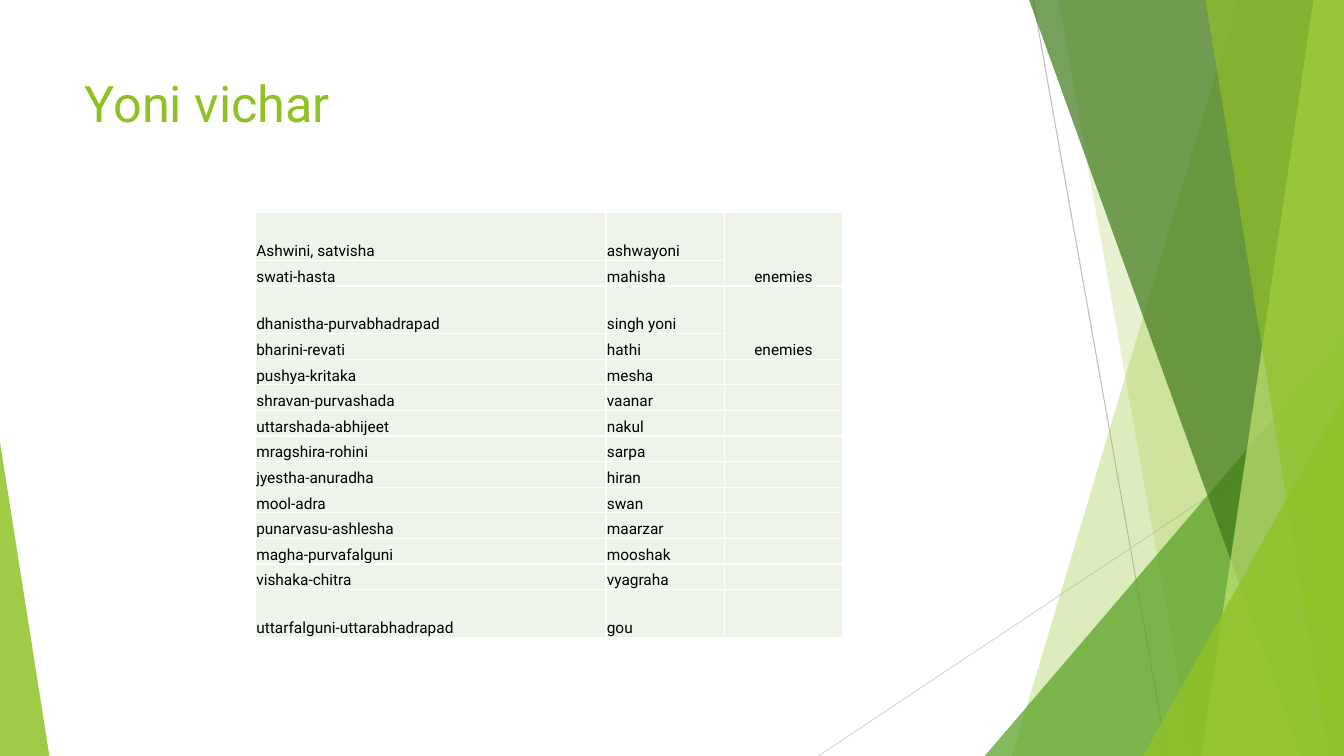
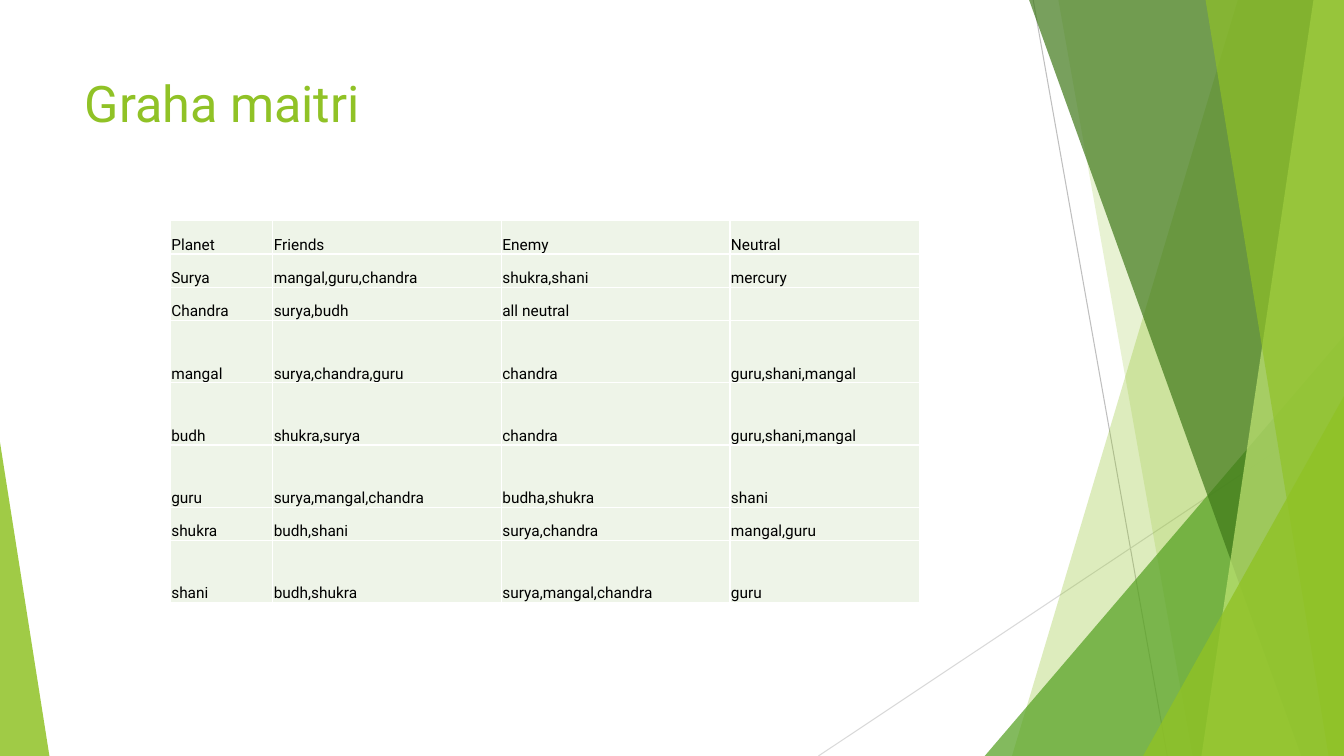
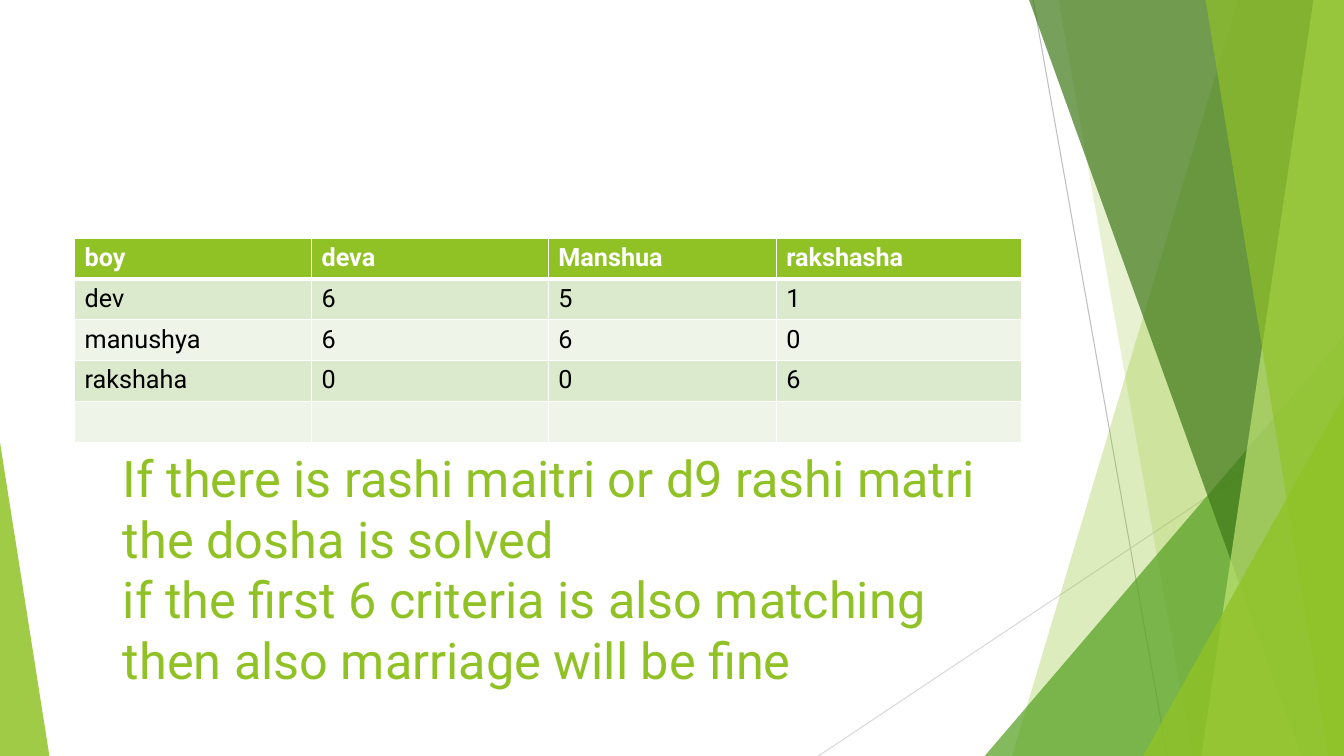
from lxml.etree import SubElement
from pptx import Presentation
from pptx.dml.color import RGBColor
from pptx.enum.shapes import MSO_CONNECTOR, MSO_SHAPE, PP_PLACEHOLDER
from pptx.enum.text import MSO_ANCHOR, MSO_AUTO_SIZE, PP_ALIGN
from pptx.oxml.ns import qn
from pptx.util import Pt

# Shared look
WIDTH, HEIGHT = 960, 540
FONT = "Roboto"
LIME, GREEN, FOREST, PALE_LIME = "90C226", "54A021", "3F7819", "C0E474"
BLACK, WHITE = "000000", "FFFFFF"
BAND_DARK, BAND_LIGHT = "DBE9CD", "EEF4E8"
TITLE_BOX = (53.3, 48.2, 676.8, 103.7)
TIGHT = (0.7, 0.7, 0.7, 0)
ROOMY = (7.2, 3.6, 7.2, 3.6)


def rgb(value):
    return RGBColor.from_string(value)


def place(shape, box):
    shape.left, shape.top, shape.width, shape.height = (Pt(v) for v in box)


def write(frame, text, size=11, color=BLACK, bold=False, align=PP_ALIGN.LEFT):
    """Fill the first paragraph; each newline becomes a line break."""
    paragraph = frame.paragraphs[0]
    paragraph.alignment = align
    if not text:
        SubElement(paragraph._p, qn("a:endParaRPr"), sz=str(size * 100))
        return
    for number, line in enumerate(text.split("\n")):
        if number:
            paragraph.add_line_break()
        run = paragraph.add_run()
        run.text = line
        run.font.name, run.font.size, run.font.bold = FONT, Pt(size), bold
        run.font.color.rgb = rgb(color)


# Background decoration
def paint(shape, color, opacity):
    shape.shadow.inherit = False
    shape.line.fill.background()
    shape.fill.solid()
    shape.fill.fore_color.rgb = rgb(color)
    tint = shape.element.spPr.find(".//" + qn("a:srgbClr"))
    SubElement(tint, qn("a:alpha"), val=str(opacity * 1000))


def add_hairline(slide, start, end, color):
    line = slide.shapes.add_connector(
        MSO_CONNECTOR.STRAIGHT, *(Pt(v) for v in start + end))
    line.line.color.rgb = rgb(color)
    line.line.width = Pt(0.75)
    SubElement(line.element.spPr, qn("a:effectLst"))


def add_blade(slide, top_x, bottom_x, color, opacity):
    """Band from a slanted left edge to the right side of the slide."""
    outline = slide.shapes.build_freeform(Pt(top_x), 0)
    outline.add_line_segments(
        [(Pt(x), Pt(y)) for x, y in
         ((WIDTH, 0), (WIDTH, HEIGHT), (bottom_x, HEIGHT))], close=True)
    paint(outline.convert_to_shape(), color, opacity)


def add_corner(slide, left, top, width, apex, color, opacity):
    """Triangle standing on the bottom edge of the slide."""
    corner = slide.shapes.add_shape(
        MSO_SHAPE.ISOSCELES_TRIANGLE,
        *(Pt(v) for v in (left, top, width, HEIGHT - top)))
    corner.adjustments[0] = apex
    paint(corner, color, opacity)


def draw_decoration(slide):
    add_hairline(slide, (738, 0), (833.8, HEIGHT), "BFBFBF")
    add_hairline(slide, (WIDTH, 290), (584.6, HEIGHT), "D9D9D9")
    add_blade(slide, 884.2, 722.9, LIME, 30)
    add_blade(slide, 756, 851.8, LIME, 20)
    add_corner(slide, 703.4, 240, 256.6, 1, GREEN, 72)
    add_blade(slide, 735.1, 929.5, FOREST, 70)
    add_blade(slide, 938.2, 858.2, PALE_LIME, 70)
    add_blade(slide, 861.1, 949, LIME, 65)
    add_corner(slide, 816.5, 283, 143.5, 1, LIME, 80)
    add_corner(slide, 0, 316, 35.3, 0, LIME, 85)


def prepare_layout(layout, slide):
    """Keep only the title in the layout and put the decoration behind it."""
    for holder in list(layout.placeholders):
        if holder.placeholder_format.type == PP_PLACEHOLDER.TITLE:
            place(holder, TITLE_BOX)
        else:
            holder.element.getparent().remove(holder.element)
    draw_decoration(slide)
    parts = [s.element for s in slide.shapes if not s.is_placeholder]
    for position, part in enumerate(parts, start=2):
        layout.shapes.element.insert(position, part)


# Slide content
def set_title(slide, text, box=TITLE_BOX):
    title = slide.shapes.title
    place(title, box)
    frame = title.text_frame
    frame.word_wrap = True
    frame.auto_size = MSO_AUTO_SIZE.NONE
    frame.vertical_anchor = MSO_ANCHOR.TOP
    write(frame, text, size=36, color=LIME)


def set_borders(cell, top=1, bottom=1):
    properties = cell._tc.get_or_add_tcPr()
    for side, width in (("L", 1), ("R", 1), ("T", top), ("B", bottom)):
        edge = SubElement(properties, qn("a:ln" + side), w=str(Pt(width)))
        SubElement(SubElement(edge, qn("a:solidFill")),
                   qn("a:srgbClr"), val=WHITE)


def add_grid(slide, left, top, columns, heights, rows, header=False,
             size=11, margins=TIGHT, anchor=MSO_ANCHOR.BOTTOM, centred=None):
    table = slide.shapes.add_table(
        len(rows), len(columns), Pt(left), Pt(top),
        Pt(sum(columns)), Pt(sum(heights))).table
    table.first_row, table.horz_banding = header, False
    for column, width in zip(table.columns, columns):
        column.width = Pt(width)
    for r, (row, height) in enumerate(zip(rows, heights)):
        table.rows[r].height = Pt(height)
        is_head = header and r == 0
        fill = LIME if is_head else (
            BAND_DARK if header and r % 2 else BAND_LIGHT)
        for c, text in enumerate(row):
            cell = table.cell(r, c)
            set_borders(cell, top=3 if header and r == 1 else 1,
                        bottom=3 if is_head else 1)
            cell.fill.solid()
            cell.fill.fore_color.rgb = rgb(fill)
            cell.vertical_anchor = anchor
            (cell.margin_left, cell.margin_top,
             cell.margin_right, cell.margin_bottom) = (Pt(m) for m in margins)
            write(cell.text_frame, text, size=size, bold=is_head,
                  color=WHITE if is_head else BLACK,
                  align=PP_ALIGN.CENTER if c == centred else PP_ALIGN.LEFT)
    return table


YONI = [
    ("Ashwini, satvisha", "ashwayoni", "enemies"),
    ("swati-hasta", "mahisha", ""),
    ("dhanistha-purvabhadrapad", "singh yoni", "enemies"),
    ("bharini-revati", "hathi", ""),
    ("pushya-kritaka", "mesha", ""),
    ("shravan-purvashada", "vaanar", ""),
    ("uttarshada-abhijeet", "nakul", ""),
    ("mragshira-rohini", "sarpa", ""),
    ("jyestha-anuradha", "hiran", ""),
    ("mool-adra", "swan", ""),
    ("punarvasu-ashlesha", "maarzar", ""),
    ("magha-purvafalguni", "mooshak", ""),
    ("vishaka-chitra", "vyagraha", ""),
    ("uttarfalguni-uttarabhadrapad", "gou", ""),
]
GRAHA = [
    ("Planet", "Friends", "Enemy", "Neutral"),
    ("Surya", "mangal,guru,chandra", "shukra,shani", "mercury"),
    ("Chandra", "surya,budh", "all neutral", ""),
    ("mangal", "surya,chandra,guru", "chandra", "guru,shani,mangal"),
    ("budh", "shukra,surya", "chandra", "guru,shani,mangal"),
    ("guru", "surya,mangal,chandra", "budha,shukra", "shani"),
    ("shukra", "budh,shani", "surya,chandra", "mangal,guru"),
    ("shani", "budh,shukra", "surya,mangal,chandra", "guru"),
]
GANA = [
    ("boy", "deva", "Manshua", "rakshasha"),
    ("dev", "6", "5", "1"),
    ("manushya", "6", "6", "0"),
    ("rakshaha", "0", "0", "6"),
    ("", "", "", ""),
]
DOSHA = ("If there is rashi maitri or d9 rashi matri the dosha is solved\n"
         "if the first 6 criteria is also matching then also marriage "
         "will be fine")


def row_heights(count, tall_rows, tall, short):
    return [tall if r in tall_rows else short for r in range(count)]


def main():
    deck = Presentation()
    deck.slide_width, deck.slide_height = Pt(WIDTH), Pt(HEIGHT)
    layout = deck.slide_layouts.get_by_name("Title Only")
    yoni, graha, gana = (deck.slides.add_slide(layout) for _ in range(3))
    prepare_layout(layout, yoni)

    # Yoni vichar
    set_title(yoni, "Yoni vichar")
    pairs = add_grid(yoni, 182.4, 152, (250.4, 84.6, 84.6),
                     row_heights(len(YONI), (0, 2, 13), 34, 18.3),
                     YONI, centred=2)
    for first in (0, 2):
        pairs.cell(first, 2).merge(pairs.cell(first + 1, 2))

    # Graha maitri
    set_title(graha, "Graha maitri")
    add_grid(graha, 121.7, 157.7, (73.2, 163.3, 163.3, 135.2),
             row_heights(len(GRAHA), (3, 4, 5, 7), 44.4, 23.8), GRAHA)

    # Gana points
    set_title(gana, DOSHA, box=(80.6, 316, 649.4, 236.9))
    add_grid(gana, 53.3, 170, (169.2, 169.2, 162.8, 175.6),
             [29.2] * len(GANA), GANA, header=True, size=18,
             margins=ROOMY, anchor=MSO_ANCHOR.TOP)

    deck.save("out.pptx")


if __name__ == "__main__":
    main()
